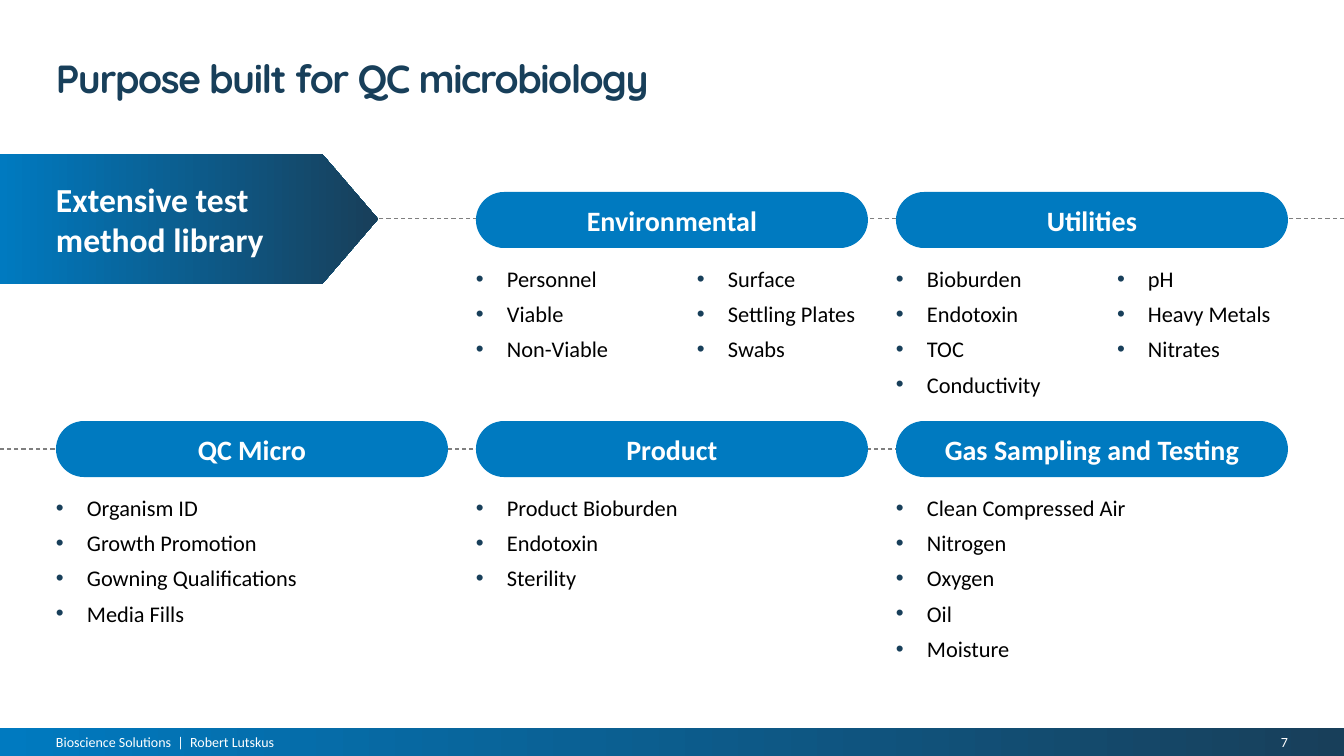
import pptx
import pptx.util
import pptx.dml.color
import pptx.enum.dml
import pptx.enum.shapes
import pptx.enum.text
import pptx.oxml
import pptx.oxml.ns

SCALE = 914400 / 100.8  # EMU in one px
COLORS = {"blue": "007AC0", "navy": "183F5A", "gray": "7F7F7F",
          "white": "FFFFFF", "black": "000000"}
SHAPE = pptx.enum.shapes.MSO_SHAPE
ALIGN = pptx.enum.text.PP_ALIGN
ANCHOR = pptx.enum.text.MSO_ANCHOR

STYLES = {
    "title": dict(name="Quicksand", size=28, bold=True, color="navy"),
    "banner": dict(name="Calibri", size=24, bold=True, color="white"),
    "pill": dict(name="Calibri", size=20, bold=True, color="white"),
    "list": dict(name="Calibri", size=16, bold=False, color="black"),
    "footer": dict(name="Calibri", size=10, bold=False, color="white"),
}


def px(n):
    return pptx.util.Emu(round(n * SCALE))


def rgb(name):
    return pptx.dml.color.RGBColor.from_string(COLORS[name])


def xml(tag, attrs="", inner=""):
    ns = pptx.oxml.ns.nsdecls("a")
    return pptx.oxml.parse_xml(f"<a:{tag} {ns} {attrs}>{inner}</a:{tag}>")


class Deck:
    def __init__(self, width, height):
        self.prs = pptx.Presentation()
        self.prs.slide_width, self.prs.slide_height = px(width), px(height)
        self.slide = self.prs.slides.add_slide(self.prs.slide_layouts[6])

    def set_text(self, sp, lines, style, margins=(0, 0, 0, 0), align=ALIGN.LEFT,
                 anchor=ANCHOR.TOP):
        """Fill a shape with one paragraph per line and return the paragraphs."""
        tf = sp.text_frame
        frame = dict(zip(("margin_left", "margin_top", "margin_right",
                          "margin_bottom"), map(px, margins)))
        frame.update(word_wrap=True, vertical_anchor=anchor)
        for key, value in frame.items():
            setattr(tf, key, value)
        for i, line in enumerate(lines):
            p = tf.add_paragraph() if i else tf.paragraphs[0]
            p.alignment = align
            r = p.add_run()
            r.text = line
            for key, value in STYLES[style].items():
                if key == "color":
                    r.font.color.rgb = rgb(value)
                else:
                    setattr(r.font, key, pptx.util.Pt(value) if key == "size" else value)
        return tf.paragraphs

    def text(self, box, lines, style, **layout):
        sp = self.slide.shapes.add_textbox(*map(px, box))
        return self.set_text(sp, lines, style, **layout)

    def shape(self, kind, box, fill, adjust=None):
        """Add a preset shape; two fill colours make a left-to-right gradient."""
        sp = self.slide.shapes.add_shape(kind, *map(px, box))
        sp.shadow.inherit = False
        sp.line.fill.background()
        if adjust is not None:
            sp.adjustments[0] = adjust
        if len(fill) == 1:
            sp.fill.solid()
            sp.fill.fore_color.rgb = rgb(fill[0])
        else:
            sp.fill.gradient()
            sp.fill.gradient_angle = 0
            for stop, color in zip(sp.fill.gradient_stops, fill):
                stop.color.rgb = rgb(color)
        return sp

    def dashed_line(self, x1, x2, y):
        line = self.slide.shapes.add_connector(
            pptx.enum.shapes.MSO_CONNECTOR.STRAIGHT, px(x1), px(y), px(x2), px(y))
        line.line.color.rgb = rgb("gray")
        line.line.width = pptx.util.Pt(0.75)
        line.line.dash_style = pptx.enum.dml.MSO_LINE.DASH
        line._element.spPr.append(xml("effectLst"))

    def pill(self, box, label):
        sp = self.shape(SHAPE.ROUNDED_RECTANGLE, box, ["blue"], 0.5)
        self.set_text(sp, [label], "pill", (10, 5, 10, 5), ALIGN.CENTER, ANCHOR.MIDDLE)

    def bullets(self, box, items):
        for p in self.text(box, items, "list"):
            p.space_before = pptx.util.Pt(6)
            pPr = p._p.get_or_add_pPr()
            pPr.set("marL", str(px(31)))
            pPr.set("indent", str(-px(31)))
            pPr.append(xml("buClr", inner=f'<a:srgbClr val="{COLORS["navy"]}"/>'))
            pPr.append(xml("buFont", 'typeface="Arial"'))
            pPr.append(xml("buChar", 'char="•"'))


WIDTH, HEIGHT = 1344, 756
LEFT, COLUMN_PITCH = 56, 420
PILL_W, PILL_H = 392, 56
ROW_TOPS = [192, 421]
LIST_DROP = 73
HALF_PITCH, HALF_W = 221, 171
LINE_H, LINE_GAP = 27, 8

# (row, column, heading, lists set side by side)
GROUPS = [
    (0, 1, "Environmental", [["Personnel", "Viable", "Non-Viable"],
                             ["Surface", "Settling Plates", "Swabs"]]),
    (0, 2, "Utilities", [["Bioburden", "Endotoxin", "TOC", "Conductivity"],
                         ["pH", "Heavy Metals", "Nitrates"]]),
    (1, 0, "QC Micro", [["Organism ID", "Growth Promotion",
                         "Gowning Qualifications", "Media Fills"]]),
    (1, 1, "Product", [["Product Bioburden", "Endotoxin", "Sterility"]]),
    (1, 2, "Gas Sampling and Testing", [["Clean Compressed Air", "Nitrogen",
                                         "Oxygen", "Oil", "Moisture"]]),
]


def main():
    deck = Deck(WIDTH, HEIGHT)
    deck.shape(SHAPE.RECTANGLE, (0, 728, WIDTH, 28), ["blue", "navy"])
    deck.dashed_line(979, 0, 449)
    deck.dashed_line(WIDTH, 378, 219)
    deck.text((LEFT, 730, 994, 24), ["Bioscience Solutions  |  Robert Lutskus"],
              "footer", anchor=ANCHOR.MIDDLE)

    title = deck.text((LEFT, 55, 1080, 47), ["Purpose built for QC microbiology"], "title")[0]
    title.line_spacing = pptx.util.Pt(33)
    title.runs[0].font._element.set("spc", "-100")

    for row, column, heading, lists in GROUPS:
        x, y = LEFT + column * COLUMN_PITCH, ROW_TOPS[row]
        deck.pill((x, y, PILL_W, PILL_H), heading)
        width = PILL_W if len(lists) == 1 else HALF_W
        for i, items in enumerate(lists):
            height = len(items) * (LINE_H + LINE_GAP) - LINE_GAP
            deck.bullets((x + i * HALF_PITCH, y + LIST_DROP, width, height), items)

    banner = deck.shape(SHAPE.PENTAGON, (0, 154, 378, 130), ["blue", "navy"], 0.43)
    deck.set_text(banner, ["Extensive test method library"], "banner",
                  (LEFT, 8, 35, 8), anchor=ANCHOR.MIDDLE)
    deck.text((1106, 730, 182, 24), ["7"], "footer", align=ALIGN.RIGHT,
              anchor=ANCHOR.MIDDLE)
    deck.prs.save("out.pptx")


if __name__ == "__main__":
    main()
